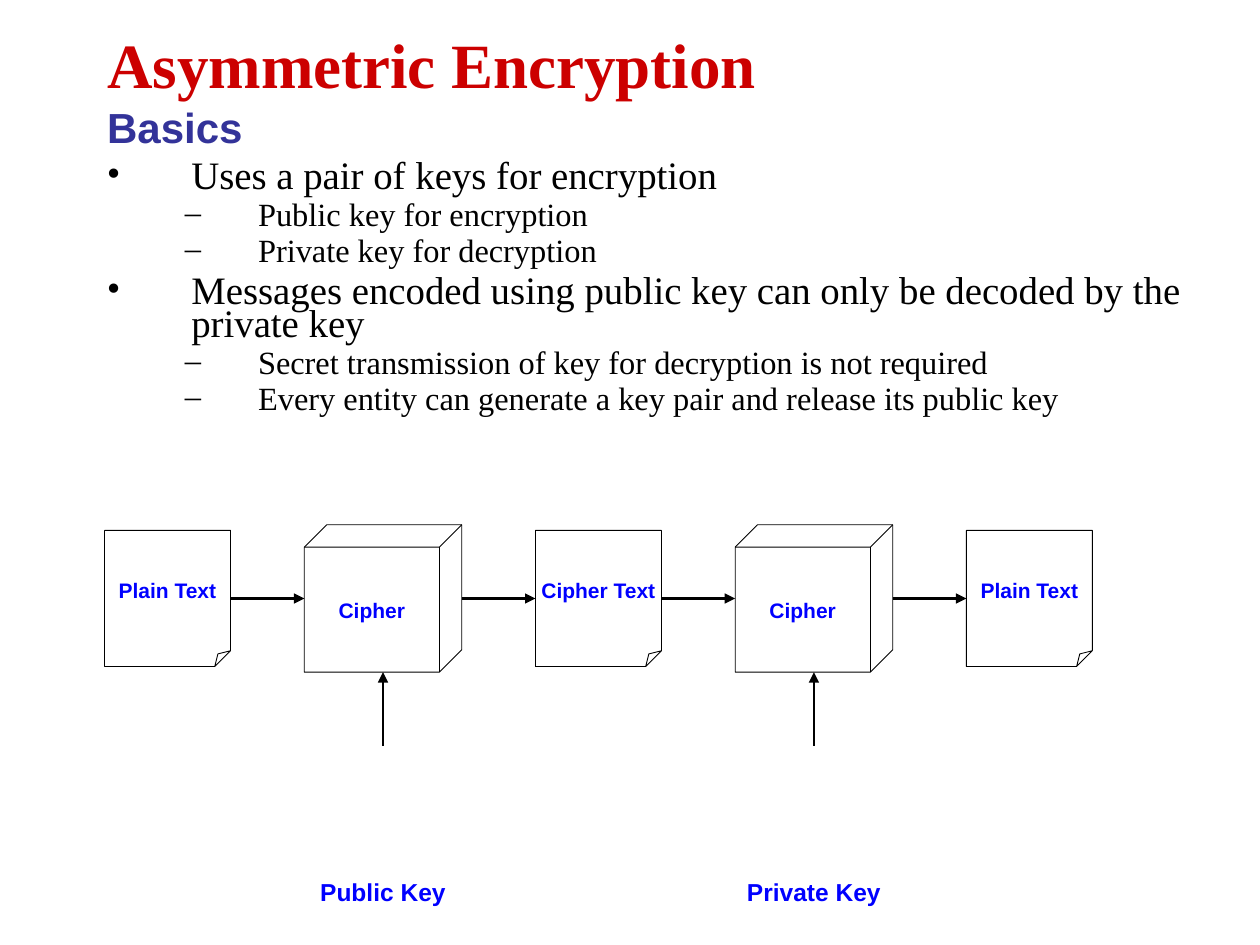
from pptx import Presentation
from pptx.dml.color import RGBColor
from pptx.enum.shapes import MSO_CONNECTOR as Link, MSO_SHAPE as Form
from pptx.enum.text import MSO_ANCHOR as Anchor, MSO_AUTO_SIZE as Fit, PP_ALIGN as Align
from pptx.oxml.ns import qn
from pptx.util import Inches, Pt
from lxml.etree import SubElement

BLACK = RGBColor(0, 0, 0)
RED = RGBColor(0xCC, 0, 0)
NAVY = RGBColor(0x33, 0x33, 0x99)
BLUE = RGBColor(0, 0, 0xFF)
SERIF, SANS = "Times New Roman", "Arial"

LEVELS = [("•", 22.2, 6, 0.67, 0.67), ("–", 18.5, 5, 1.2, 0.58)]
POINTS = [
    (0, "Uses a pair of keys for encryption"),
    (1, "Public key for encryption"),
    (1, "Private key for decryption"),
    (0, "Messages encoded using public key can only be decoded by the private key"),
    (1, "Secret transmission of key for decryption is not required"),
    (1, "Every entity can generate a key pair and release its public key"),
]


def add_run(para, text, size, font, color, bold=False):
    run = para.add_run()
    run.text = text
    run.font.size = Pt(size)
    run.font.name = font
    run.font.bold = bold
    run.font.color.rgb = color


def add_title(slide, left, top, width, height):
    title = slide.shapes.title
    title.left, title.top = Inches(left), Inches(top)
    title.width, title.height = Inches(width), Inches(height)
    frame = title.text_frame
    frame.auto_size = Fit.NONE
    frame.vertical_anchor = Anchor.MIDDLE
    para = frame.paragraphs[0]
    para.alignment = Align.LEFT
    add_run(para, "Asymmetric Encryption ", 36, SERIF, RED, True)
    para.add_line_break()
    add_run(para, "Basics", 24, SANS, NAVY, True)


def add_points(slide, left, top, width, height):
    box = slide.shapes.add_textbox(Inches(left), Inches(top), Inches(width), Inches(height))
    frame = box.text_frame
    frame.word_wrap = True
    for i, (level, text) in enumerate(POINTS):
        mark, size, gap, margin, hang = LEVELS[level]
        para = frame.add_paragraph() if i else frame.paragraphs[0]
        para.level = level
        para.line_spacing = 0.7
        para.space_before = Pt(gap)
        props = para._p.get_or_add_pPr()
        props.set("marL", str(Inches(margin)))
        props.set("indent", str(-Inches(hang)))
        tint = SubElement(props, qn("a:buClr"))
        SubElement(tint, qn("a:srgbClr")).set("val", str(BLACK))
        SubElement(props, qn("a:buFont")).set("typeface", SERIF)
        SubElement(props, qn("a:buChar")).set("char", mark)
        add_run(para, text, size, SERIF, BLACK)


def add_label(frame, text, size, gap):
    frame.word_wrap = False
    para = frame.paragraphs[0]
    para.alignment = Align.CENTER
    para.space_before = Pt(gap)
    add_run(para, text, size, SANS, BLUE, True)


def add_node(slide, form, fold, text, left, mid, width, height):
    node = slide.shapes.add_shape(
        form, Inches(left), Inches(mid - height / 2), Inches(width), Inches(height))
    guides = node._element.spPr.find(qn("a:prstGeom")).get_or_add_avLst()
    guides.clear()
    guide = SubElement(guides, qn("a:gd"))
    guide.set("name", "adj")
    guide.set("fmla", f"val {round(fold * 100000)}")
    node.shadow.inherit = False
    node.fill.background()
    node.line.color.rgb = BLACK
    node.line.width = Pt(0.51)
    node.text_frame.vertical_anchor = Anchor.MIDDLE
    add_label(node.text_frame, text, 12, 3)


def add_arrow(slide, *ends):
    arrow = slide.shapes.add_connector(Link.STRAIGHT, *(Inches(e) for e in ends))
    arrow.line.color.rgb = BLACK
    arrow.line.width = Pt(1.5)
    SubElement(arrow.line._get_or_add_ln(), qn("a:tailEnd")).set("type", "triangle")
    SubElement(arrow._element.spPr, qn("a:effectLst"))


def add_key(slide, text, mid, top):
    width = 1.26
    box = slide.shapes.add_textbox(
        Inches(mid - width / 2), Inches(top), Inches(width), Inches(0.34))
    box.text_frame.auto_size = Fit.SHAPE_TO_FIT_TEXT
    add_label(box.text_frame, text, 14, 3.5)


def add_flow(slide, left, mid):
    page, cube, gap, tall = 1, 1.25, 0.585, 1.17
    gap = 0.58 + 0.01 / 2
    step = page + cube + 2 * gap
    for i, text in enumerate(["Plain Text", "Cipher Text", "Plain Text"]):
        add_node(slide, Form.FOLDED_CORNER, 0.125, text, left + i * step, mid, page, 1.08)
    for i, key in enumerate(["Public Key", "Private Key"]):
        start = left + i * step + page
        face = start + gap
        back = face + cube
        foot = mid + tall / 2
        add_node(slide, Form.CUBE, 0.152, "Cipher", face, mid, cube, tall)
        add_arrow(slide, start, mid, face, mid)
        add_arrow(slide, back, mid, back + gap, mid)
        add_arrow(slide, face + cube / 2, foot + gap, face + cube / 2, foot)
        add_key(slide, key, face + cube / 2, foot + 1.58)


deck = Presentation()
deck.slide_width, deck.slide_height = Inches(10), Inches(7.5)
slide = deck.slides.add_slide(deck.slide_layouts[5])
add_points(slide, 0.75, 1.25, 9, 2.5)
add_title(slide, 0.75, 0.08, 8.5, 1.25)
add_flow(slide, 0.83, 4.75)
deck.save("out.pptx")
